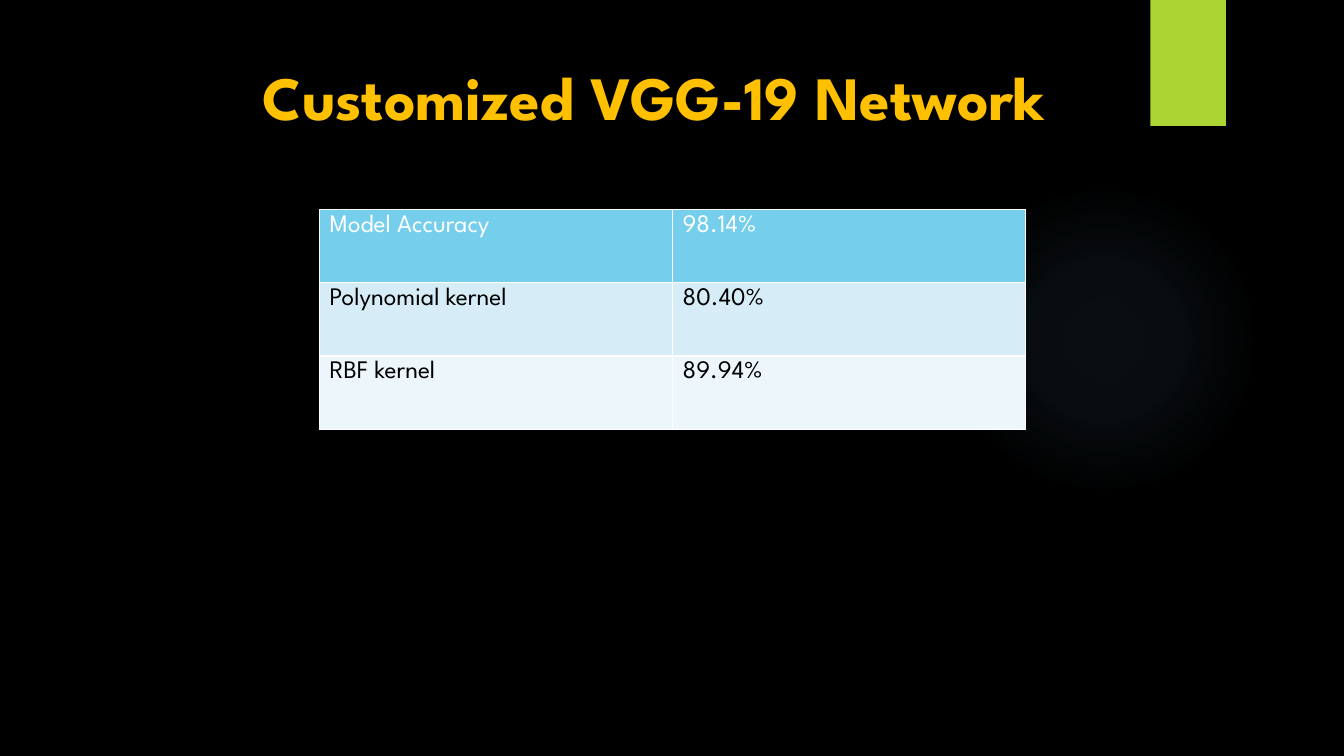
"""Build the slide that reports the accuracy of the customized VGG-19 network."""
from dataclasses import dataclass

from lxml.etree import SubElement
from pptx import Presentation
from pptx.dml.color import RGBColor
from pptx.enum.shapes import MSO_SHAPE
from pptx.enum.text import MSO_ANCHOR, PP_ALIGN
from pptx.oxml.ns import qn
from pptx.slide import Slide
from pptx.table import _Cell
from pptx.text.text import Font
from pptx.util import Inches, Pt


@dataclass(frozen=True)
class Theme:
    font: str = "League Spartan"
    background: str = "000000"
    glow: str = "7AC4F0"
    accent: str = "ACD433"
    title: str = "FFC000"
    border: str = "FFFFFF"
    title_size: int = 44
    table_size: int = 18
    border_width: int = 1


@dataclass(frozen=True)
class ResultRow:
    label: str
    accuracy: str
    fill: str
    text_color: str


THEME = Theme()
RESULTS = [
    ResultRow("Model Accuracy", "98.14%", "75CEEC", "FFFFFF"),
    ResultRow("Polynomial kernel", "80.40%", "D6EDF8", "000000"),
    ResultRow("RBF kernel", "89.94%", "ECF6FB", "000000"),
]
GLOW_STOPS = [(0, 7), (36, 6), (69, 0)]


def style_font(font: Font, size: int, color: str, bold: bool = False) -> None:
    font.name = THEME.font
    font.size = Pt(size)
    font.bold = bold
    font.color.rgb = RGBColor.from_string(color)


def add_glow(slide: Slide) -> None:
    glow = slide.shapes.add_shape(
        MSO_SHAPE.OVAL, Inches(9.41), Inches(1.83), Inches(3.08), Inches(3.08))
    glow.shadow.inherit = False
    glow.line.fill.background()
    glow.fill.gradient()
    gradient = glow._element.spPr.find(qn("a:gradFill"))
    for child in list(gradient):
        gradient.remove(child)
    stops = SubElement(gradient, qn("a:gsLst"))
    for position, opacity in GLOW_STOPS:
        stop = SubElement(stops, qn("a:gs"), pos=str(position * 1000))
        color = SubElement(stop, qn("a:srgbClr"), val=THEME.glow)
        SubElement(color, qn("a:alpha"), val=str(opacity * 1000))
    circle = SubElement(gradient, qn("a:path"), path="circle")
    SubElement(circle, qn("a:fillToRect"), l="50000", t="50000", r="50000", b="50000")


def add_accent(slide: Slide) -> None:
    accent = slide.shapes.add_shape(
        MSO_SHAPE.RECTANGLE, Inches(11.41), Inches(0), Inches(0.75), Inches(1.25))
    accent.shadow.inherit = False
    accent.line.fill.background()
    accent.fill.solid()
    accent.fill.fore_color.rgb = RGBColor.from_string(THEME.accent)


def set_title(slide: Slide, heading: str) -> None:
    title = slide.shapes.title
    title.left, title.top = Inches(1.99), Inches(0.33)
    title.width, title.height = Inches(9), Inches(1.25)
    title.text_frame.text = heading
    title.text_frame.vertical_anchor = MSO_ANCHOR.MIDDLE
    paragraph = title.text_frame.paragraphs[0]
    paragraph.alignment = PP_ALIGN.CENTER
    style_font(paragraph.runs[0].font, THEME.title_size, THEME.title, bold=True)


def add_borders(cell: _Cell) -> None:
    properties = cell._tc.get_or_add_tcPr()
    for side in ("lnL", "lnR", "lnT", "lnB"):
        line = SubElement(properties, qn(f"a:{side}"), w=str(Pt(THEME.border_width)))
        fill = SubElement(line, qn("a:solidFill"))
        SubElement(fill, qn("a:srgbClr"), val=THEME.border)


def fill_cell(cell: _Cell, text: str, result: ResultRow) -> None:
    add_borders(cell)
    cell.fill.solid()
    cell.fill.fore_color.rgb = RGBColor.from_string(result.fill)
    cell.text_frame.text = text
    run = cell.text_frame.paragraphs[0].runs[0]
    style_font(run.font, THEME.table_size, result.text_color)


def add_results(slide: Slide, results: list[ResultRow]) -> None:
    table = slide.shapes.add_table(
        len(results), 2, Inches(3.17), Inches(2.08), Inches(7), Inches(2.18)).table
    table.first_row = False
    table.horz_banding = False
    for row, result in enumerate(results):
        for column, text in enumerate((result.label, result.accuracy)):
            fill_cell(table.cell(row, column), text, result)


def main() -> None:
    presentation = Presentation()
    presentation.slide_width = Inches(13.33)
    presentation.slide_height = Inches(7.5)
    slide = presentation.slides.add_slide(presentation.slide_layouts[5])
    slide.background.fill.solid()
    slide.background.fill.fore_color.rgb = RGBColor.from_string(THEME.background)
    add_glow(slide)
    add_accent(slide)
    set_title(slide, "Customized VGG-19 Network")
    add_results(slide, RESULTS)
    presentation.save("out.pptx")


if __name__ == "__main__":
    main()
